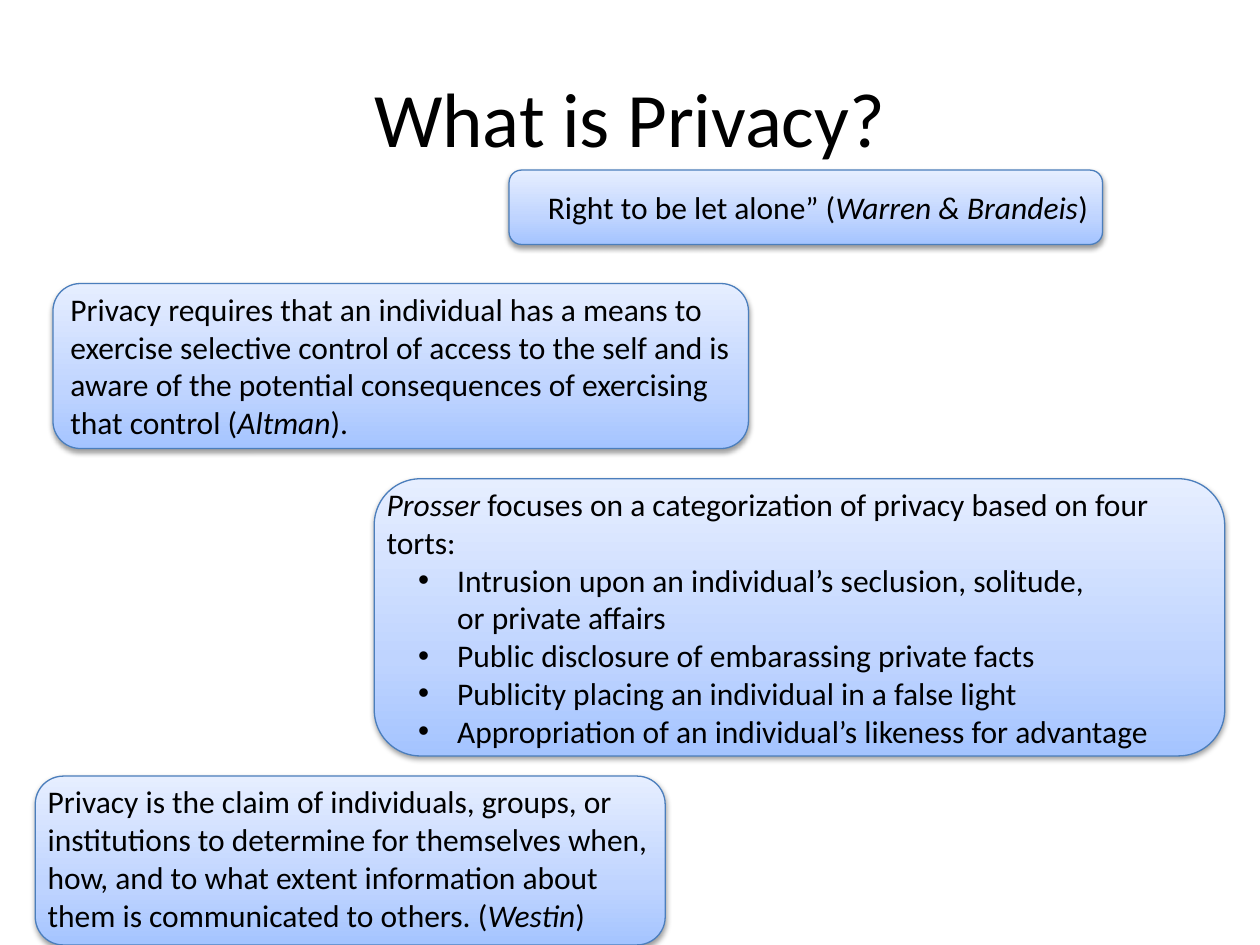
from lxml import etree
from pptx import Presentation
from pptx.dml.color import RGBColor
from pptx.enum.shapes import MSO_SHAPE
from pptx.enum.text import MSO_ANCHOR, PP_ALIGN
from pptx.oxml import parse_xml
from pptx.oxml.ns import nsdecls
from pptx.util import Inches, Pt

CARD = MSO_SHAPE.FLOWCHART_ALTERNATE_PROCESS
MIDDLE = MSO_ANCHOR.MIDDLE
CENTER = PP_ALIGN.CENTER

GRADIENT_STOPS = [(0, "A4C4FF"), (35, "BFD4FF"), (100, "E6EEFF")]
CARD_LINE = "4B7EBC"
BLACK = "000000"


def color(hex_value):
    return RGBColor.from_string(hex_value)


def add_text(paragraph, text, size=18, italic=False):
    run = paragraph.add_run()
    run.text = text
    run.font.name = "Calibri"
    run.font.size = Pt(size)
    run.font.italic = italic
    run.font.color.rgb = color(BLACK)


prs = Presentation()
prs.slide_width, prs.slide_height = Inches(10), Inches(7.5)
slide = prs.slides.add_slide(prs.slide_layouts[5])

title = slide.shapes.title
title.left, title.top = Inches(0.5), Inches(0.3)
title.width, title.height = Inches(9), Inches(1.25)
title.text_frame.vertical_anchor = MIDDLE
title.text_frame.paragraphs[0].alignment = CENTER
add_text(title.text_frame.paragraphs[0], "What is Privacy?", size=44)

# Each definition: card box, text box, wrapping, and (text, italic) pieces
definitions = [
    ((4.04, 1.35, 4.71, 0.59), (4.25, 1.44, 4.53, 0.4), False,
     [("Right to be let alone” (", False), ("Warren & Brandeis", True), (")", False)]),
    ((0.42, 2.25, 5.52, 1.31), (0.46, 2.25, 5.48, 1.31), True,
     [("Privacy requires that an individual has a means to exercise selective "
       "control of access to the self and is aware of the potential consequences "
       "of exercising that control (", False), ("Altman", True), (").", False)]),
    ((2.97, 3.8, 6.75, 2.2), (2.97, 3.8, 6.75, 2.22), True,
     [("Prosser ", True),
      ("focuses on a categorization of privacy based on four torts:", False)]),
    ((0.28, 6.16, 5, 1.34), (0.28, 6.16, 5, 1.31), True,
     [("Privacy is the claim of individuals, groups, or institutions to determine "
       "for themselves when, how, and to what extent information about them is "
       "communicated to others. (", False), ("Westin", True), (")", False)]),
]

stops = "".join(
    f'<a:gs pos="{position * 1000}"><a:srgbClr val="{value}"/></a:gs>'
    for position, value in GRADIENT_STOPS
)
text_frames = []
for card_box, text_box, wraps, pieces in definitions:
    card = slide.shapes.add_shape(CARD, *map(Inches, card_box))
    card.line.color.rgb = color(CARD_LINE)
    card.line.width = Pt(0.75)
    outline = card.line._ln
    outline.addprevious(parse_xml(
        f'<a:gradFill {nsdecls("a")} rotWithShape="1"><a:gsLst>{stops}</a:gsLst>'
        '<a:lin ang="16200000" scaled="0"/></a:gradFill>'))
    outline.addnext(parse_xml(
        f'<a:effectLst {nsdecls("a")}><a:outerShdw blurRad="{Pt(3.1)}" '
        f'dist="{Pt(1.6)}" dir="5400000" rotWithShape="0"><a:srgbClr val="{BLACK}">'
        '<a:alpha val="38000"/></a:srgbClr></a:outerShdw></a:effectLst>'))

    frame = slide.shapes.add_textbox(*map(Inches, text_box)).text_frame
    frame.word_wrap = wraps
    for text, italic in pieces:
        add_text(frame.paragraphs[0], text, italic=italic)
    text_frames.append(frame)

torts = [
    ["Intrusion upon an individual’s seclusion, solitude,", "or private affairs"],
    ["Public disclosure of embarassing private facts"],
    ["Publicity placing an individual in a false light"],
    ["Appropriation of an individual’s likeness for advantage"],
]
prosser = text_frames[2]
for tort_lines in torts:
    paragraph = prosser.add_paragraph()
    paragraph.level = 1
    properties = paragraph._p.get_or_add_pPr()
    properties.set("marL", str(Inches(0.56)))
    properties.set("indent", str(-Inches(0.31)))
    for tag, attribute, value in [("buFont", "typeface", "Arial"), ("buChar", "char", "•")]:
        etree.SubElement(
            properties, "{http://schemas.openxmlformats.org/drawingml/2006/main}" + tag
        ).set(attribute, value)
    for index, line in enumerate(tort_lines):
        if index:
            paragraph.add_line_break()
        add_text(paragraph, line)

prs.save("out.pptx")
